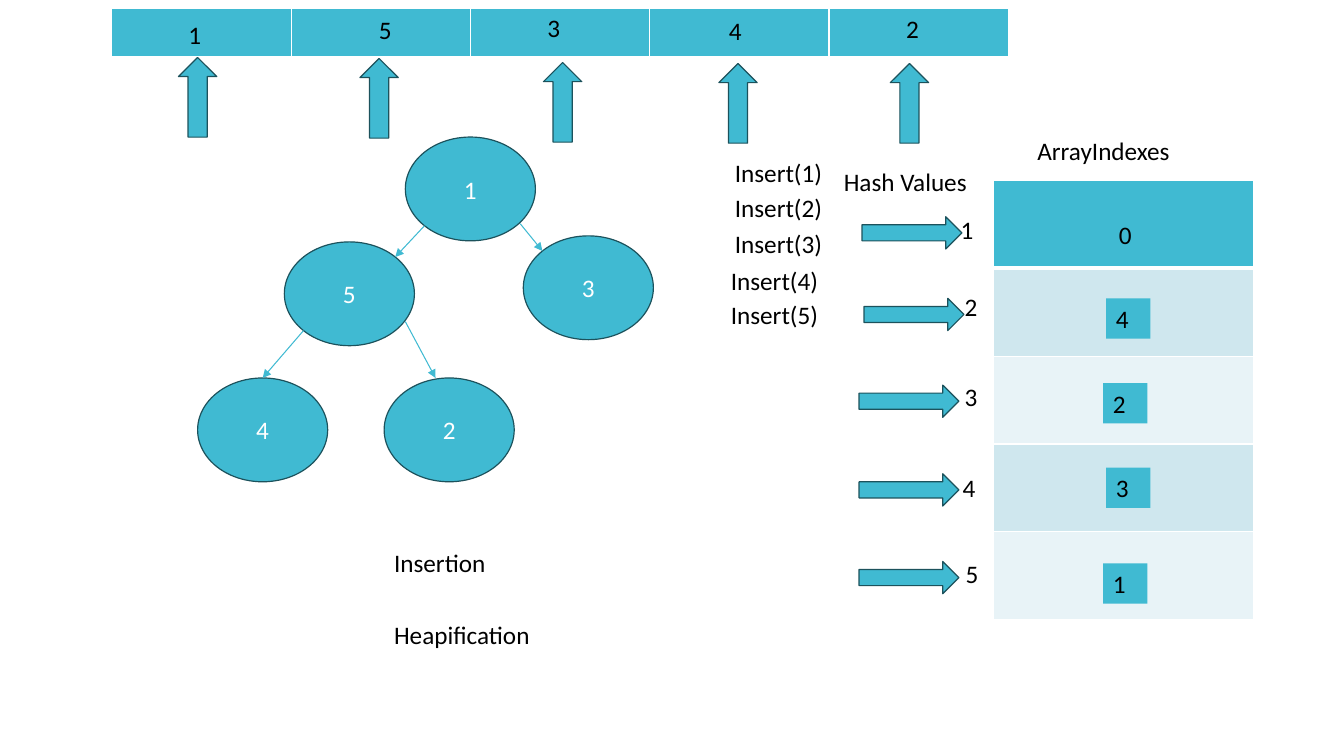
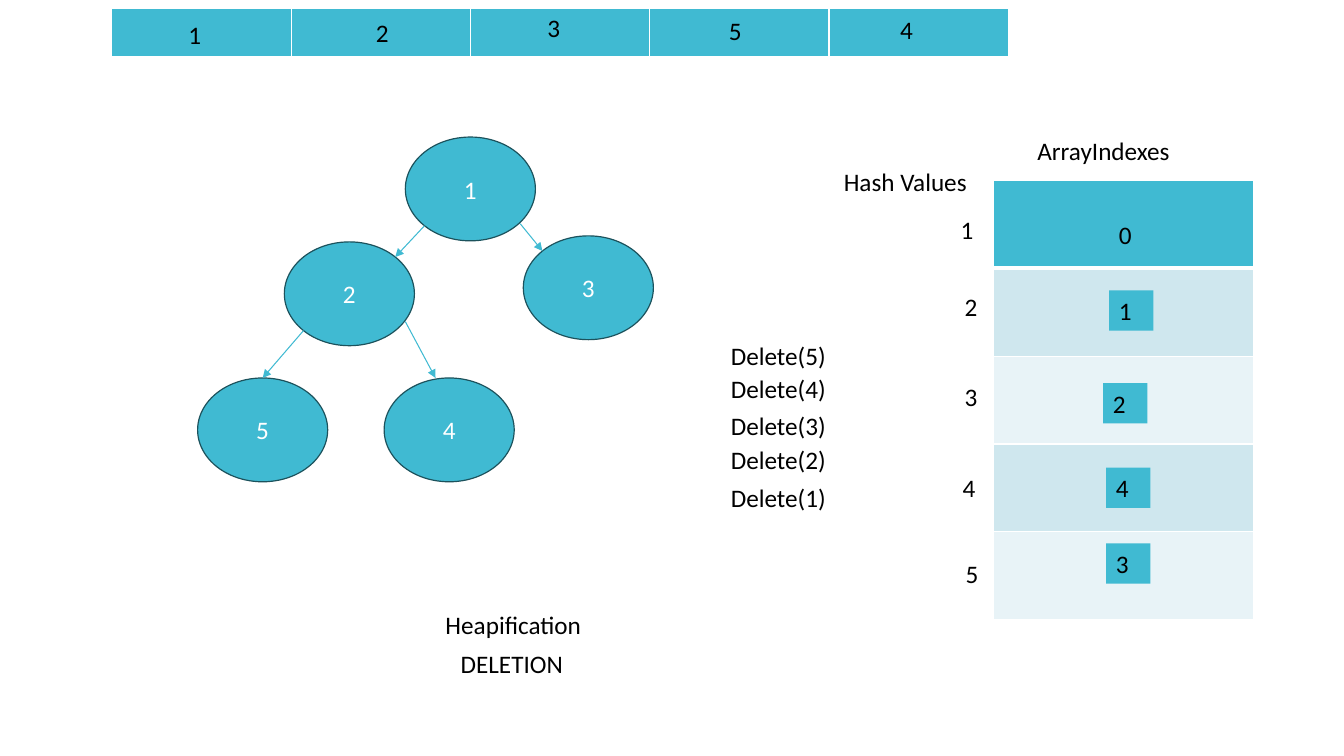
import dataclasses

import lxml.etree
import pptx
import pptx.dml.color
import pptx.enum.shapes
import pptx.enum.text
import pptx.oxml.ns
import pptx.util

Inches = pptx.util.Inches
Pt = pptx.util.Pt
SHAPE = pptx.enum.shapes.MSO_SHAPE
ANCHOR = pptx.enum.text.MSO_ANCHOR
ALIGN = pptx.enum.text.PP_ALIGN
RGB = pptx.dml.color.RGBColor.from_string
qn = pptx.oxml.ns.qn


@dataclasses.dataclass(frozen=True)
class Theme:
    accent: str = "40BAD2"
    outline: str = "1C525C"
    band_dark: str = "CFE7EE"
    band_light: str = "E8F3F7"
    ink: str = "000000"
    white: str = "FFFFFF"
    font: str = "Calibri"
    size: float = 18
    outline_width: float = 0.85
    edge_width: float = 0.75
    border_width: float = 1
    header_border_width: float = 3


theme = Theme()


def put(slide, text, left, top, width, height=0.4, shape=None, outlined=False,
        color=theme.ink, centred=False, wrap=True):
    box = [Inches(value) for value in (left, top, width, height)]
    if shape is None:
        part = slide.shapes.add_textbox(*box)
    else:
        part = slide.shapes.add_shape(shape, *box)
        part.shadow.inherit = False
        part.fill.solid()
        part.fill.fore_color.rgb = RGB(theme.accent)
        if outlined:
            part.line.color.rgb = RGB(theme.outline)
            part.line.width = Pt(theme.outline_width)
        else:
            part.line.fill.background()
    if text:
        frame = part.text_frame
        frame.word_wrap = wrap
        frame.vertical_anchor = ANCHOR.MIDDLE if centred else ANCHOR.TOP
        if not centred:
            frame.auto_size = pptx.enum.text.MSO_AUTO_SIZE.SHAPE_TO_FIT_TEXT
        paragraph = frame.paragraphs[0]
        paragraph.alignment = ALIGN.CENTER if centred else ALIGN.LEFT
        run = paragraph.add_run()
        run.text = text
        run.font.name = theme.font
        run.font.size = Pt(theme.size)
        run.font.color.rgb = RGB(color)
    return part


def put_table(slide, left, top, width, height, fills):
    frame = slide.shapes.add_table(len(fills), len(fills[0]), Inches(left), Inches(top),
                                   Inches(width), Inches(height))
    for row, row_fills in zip(frame.table.rows, fills):
        for cell, fill in zip(row.cells, row_fills):
            cell.fill.solid()
            cell.fill.fore_color.rgb = RGB(fill)
    for number, properties in enumerate(frame.element.iter(qn("a:tcPr"))):
        in_header = number < len(fills[0])
        for position, side in enumerate(("lnL", "lnR", "lnT", "lnB")):
            heavy = in_header and side == "lnB"
            weight = theme.header_border_width if heavy else theme.border_width
            border = lxml.etree.Element(qn(f"a:{side}"), w=str(Pt(weight)))
            solid = lxml.etree.SubElement(border, qn("a:solidFill"))
            lxml.etree.SubElement(solid, qn("a:srgbClr"), val=theme.white)
            properties.insert(position, border)


node_places = [(4.02, 1.36), (2.82, 2.4), (5.19, 2.34), (1.96, 3.75), (3.81, 3.75)]
edges = [
    ((4.21, 2.24), (3.92, 2.55)),
    ((5.16, 2.22), (5.38, 2.49)),
    ((3.01, 3.28), (2.6, 3.75)),
    ((4.02, 3.19), (4.32, 3.75)),
]
left_leaf, left_leaf_edge = 3, 2
hash_places = [(9.43, 2.08), (9.47, 2.84), (9.47, 3.73), (9.45, 4.64), (9.48, 5.49)]
index_fills = [[theme.accent]] + [[theme.band_dark], [theme.band_light]] * 2

steps = [
    {
        "heap": "15342",
        "heap_places": [(1.77, 0.14), (3.66, 0.09), (5.33, 0.07), (7.13, 0.1), (8.89, 0.08)],
        "heap_arrows": [(1.77, 0.57), (3.57, 0.58), (5.39, 0.62), (7.13, 0.63), (8.83, 0.63)],
        "hash_arrows": [(8.55, 2.15), (8.57, 2.96), (8.52, 3.82), (8.52, 4.7), (8.52, 5.57)],
        "indexes": "04231",
        "index_places": [(11, 2.13), (10.97, 2.96), (10.94, 3.8), (10.97, 4.64), (10.94, 5.59)],
        "action": "Insert",
        "keys": "12345",
        "call_places": [(7.19, 1.51), (7.19, 1.86), (7.19, 2.22), (7.15, 2.58), (7.15, 2.92)],
        "captions": [("Insertion", 3.81, 5.38), ("Heapification", 3.81, 6.09)],
    },
    {
        "heap": "12354",
        "heap_places": [(1.77, 0.14), (3.63, 0.12), (5.33, 0.07), (7.13, 0.1), (8.83, 0.09)],
        "heap_arrows": [],
        "hash_arrows": [],
        "indexes": "01243",
        "index_places": [(11, 2.13), (11, 2.88), (10.94, 3.8), (10.97, 4.64), (10.97, 5.39)],
        "action": "Delete",
        "keys": "54321",
        "call_places": [(7.15, 3.33), (7.15, 3.65), (7.15, 4.02), (7.15, 4.36), (7.15, 4.74)],
        "captions": [("Heapification", 4.32, 6), ("DELETION", 4.47, 6.38)],
    },
]

deck = pptx.Presentation()
deck.slide_width = Inches(13.33)
deck.slide_height = Inches(7.5)
blank_layout = deck.slide_layouts[6]

for step in steps:
    slide = deck.slides.add_slide(blank_layout)
    put_table(slide, 1.11, 0.08, 8.89, 0.49, [[theme.accent] * 5])
    put_table(slide, 9.85, 1.79, 2.58, 4.36, index_fills)

    put(slide, "Hash Values", 8.27, 1.6, 1.61, wrap=False)
    put(slide, "ArrayIndexes", 10.19, 1.29, 1.83)

    for left, top in step["heap_arrows"]:
        put(slide, "", left, top, 0.38, 0.79, shape=SHAPE.UP_ARROW, outlined=True)
    for left, top in step["hash_arrows"]:
        put(slide, "", left, top, 0.99, 0.32, shape=SHAPE.RIGHT_ARROW, outlined=True)

    for value, (left, top) in zip(step["heap"], step["heap_places"]):
        put(slide, value, left, top, 0.44)
    for value, (left, top) in zip(step["indexes"], step["index_places"]):
        put(slide, value, left, top, 0.44, shape=SHAPE.RECTANGLE)
    for value, (left, top) in zip("12345", hash_places):
        put(slide, value, left, top, 0.34, wrap=False)

    nodes = [
        put(slide, value, left, top, 1.29, 1.03, shape=SHAPE.OVAL, outlined=True,
            color=theme.white, centred=True)
        for value, (left, top) in zip(step["heap"], node_places)
    ]
    for number, (start, end) in enumerate(edges):
        edge = slide.shapes.add_connector(
            pptx.enum.shapes.MSO_CONNECTOR.STRAIGHT,
            *[Inches(value) for value in start + end])
        if number == left_leaf_edge:
            edge.end_connect(nodes[left_leaf], 0)
        edge.line.color.rgb = RGB(theme.accent)
        edge.line.width = Pt(theme.edge_width)
        properties = edge.element.spPr
        lxml.etree.SubElement(properties.find(qn("a:ln")), qn("a:tailEnd"), type="triangle")
        lxml.etree.SubElement(properties, qn("a:effectLst"))

    for key, (left, top) in zip(step["keys"], step["call_places"]):
        put(slide, f"{step['action']}({key})", left, top, 1.43)
    for caption, left, top in step["captions"]:
        put(slide, caption, left, top, 3.05)

deck.save("out.pptx")
